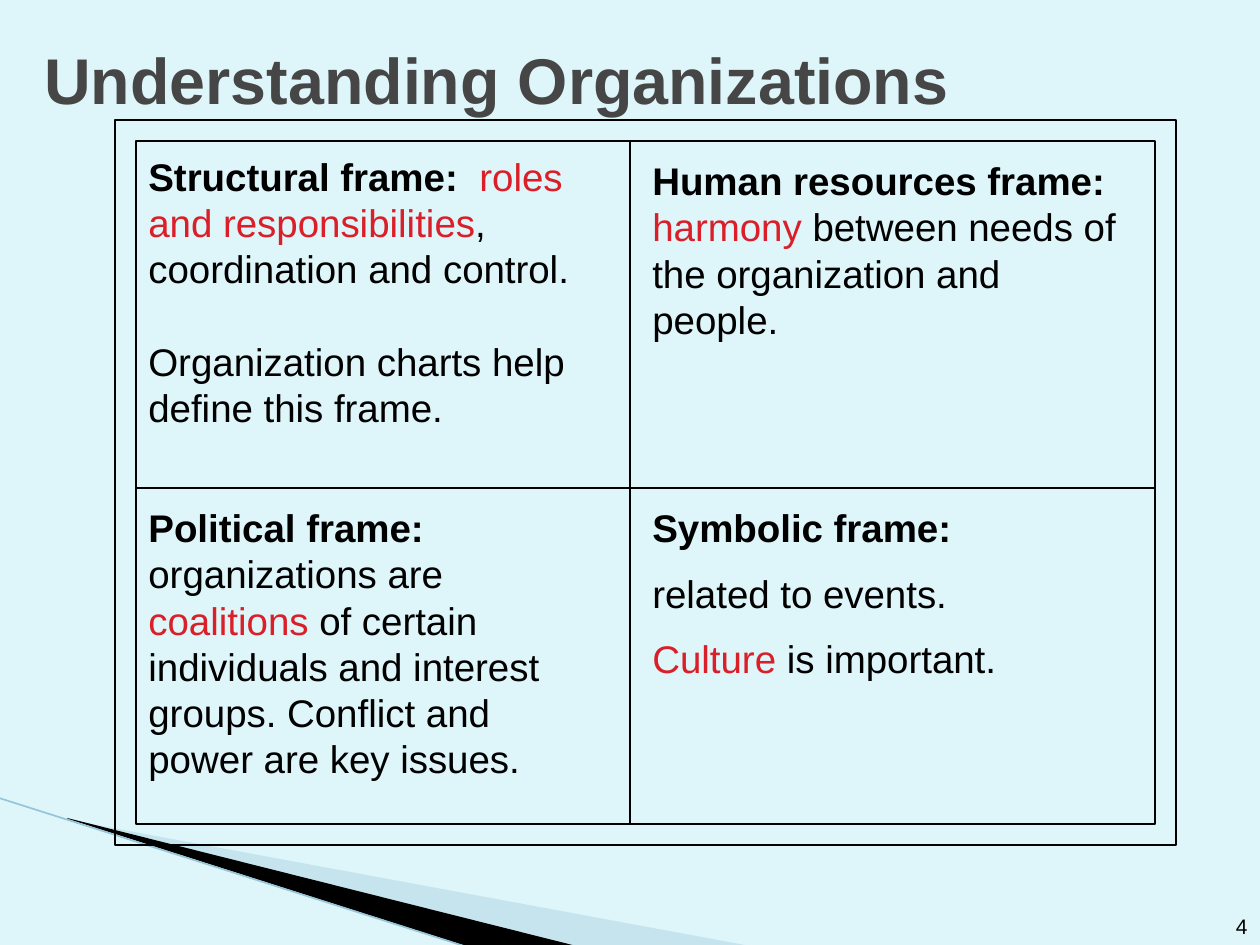
import pptx
import pptx.dml.color
import pptx.enum.shapes
import pptx.enum.text
import pptx.oxml
import pptx.oxml.ns
import pptx.util
from lxml import etree

PX = 914400 // 126
BLACK, RED, GREY = "000000", "DA1F28", "464646"
BODY = {"size": 22, "color": BLACK, "bold": False}
HEAD = {**BODY, "bold": True}
KEY = {**BODY, "color": RED}

# Content: each frame is (box in px, space before later paragraphs in pt, paragraphs of runs)
TITLE = [[("Understanding Organizations", {"size": 36.9, "color": GREY, "bold": True})]]
PAGE = [[("4", {"size": 12, "color": BLACK, "bold": False})]]
FRAMES = [
    ((136, 147, 483, 292), 26.4, [
        [("Structural frame:  ", HEAD), ("roles and responsibilities", KEY),
         (", coordination and control.", BODY)],
        [("Organization charts help define this frame.", BODY)]]),
    ((640, 151, 494, 199), 11, [
        [("Human resources frame: ", HEAD), ("harmony ", KEY),
         ("between needs of the organization and people.", BODY)]]),
    ((136, 498, 473, 292), 11, [
        [("Political frame: ", HEAD), ("organizations are ", BODY), ("coalitions ", KEY),
         ("of certain individuals and interest groups. Conflict and power are key issues.", BODY)]]),
    ((640, 498, 494, 199), 11, [
        [("Symbolic frame:", HEAD)],
        [("related to events.", BODY)],
        [("Culture ", KEY), ("is important.", BODY)]]),
]

# Geometry in px
GRID = (136, 141, 1019, 683)
BORDER = (115, 120, 1061, 725)
SPLIT_X, SPLIT_Y = 630, 488
WEDGES = [
    ("A0CBDC", 40, [(69, 820), (750, 946), (575, 946), (69, 819)]),
    (BLACK, 100, [(67, 818), (576, 946), (469, 947), (68, 819)]),
]
EDGE = (-1, 798, 467, 947)


def rgb(value):
    return pptx.dml.color.RGBColor.from_string(value)


def emu(values):
    return [value * PX for value in values]


def add_line(ends, color=BLACK, width=0.75):
    line = slide.shapes.add_connector(pptx.enum.shapes.MSO_CONNECTOR.STRAIGHT, *emu(ends))
    line.line.color.rgb = rgb(color)
    line.line.width = pptx.util.Pt(width)
    etree.SubElement(line._element.spPr, pptx.oxml.ns.qn("a:effectLst"))


def add_outline(box):
    outline = slide.shapes.add_shape(pptx.enum.shapes.MSO_SHAPE.RECTANGLE, *emu(box))
    outline.shadow.inherit = False
    outline.fill.background()
    outline.line.color.rgb = rgb(BLACK)
    outline.line.width = pptx.util.Pt(0.75)


def add_wedge(color, opacity, points):
    builder = slide.shapes.build_freeform(*points[0], scale=PX)
    builder.add_line_segments(points[1:], close=True)
    wedge = builder.convert_to_shape()
    wedge.shadow.inherit = False
    wedge.line.fill.background()
    wedge.fill.solid()
    wedge.fill.fore_color.rgb = rgb(color)
    if opacity < 100:
        tint = wedge._element.spPr.find(".//" + pptx.oxml.ns.qn("a:srgbClr"))
        etree.SubElement(tint, pptx.oxml.ns.qn("a:alpha"), val=str(opacity * 1000))


def add_text(box, paragraphs, frame_format, paragraph_format=None, gap=0):
    frame = slide.shapes.add_textbox(*emu(box)).text_frame
    for name, value in {"word_wrap": True, **frame_format}.items():
        setattr(frame, name, value)
    for index, runs in enumerate(paragraphs):
        paragraph = frame.add_paragraph() if index else frame.paragraphs[0]
        for name, value in (paragraph_format or {}).items():
            setattr(paragraph, name, value)
        if index:
            paragraph.space_before = pptx.util.Pt(gap)
        for text, style in runs:
            run = paragraph.add_run()
            run.text = text
            font = {"name": "Arial", "size": pptx.util.Pt(style["size"]), "bold": style["bold"]}
            for name, value in font.items():
                setattr(run.font, name, value)
            run.font.color.rgb = rgb(style["color"])


deck = pptx.Presentation()
deck.slide_width, deck.slide_height = pptx.util.Inches(10), pptx.util.Inches(7.5)
slide = deck.slides.add_slide(deck.slide_layouts[6])
slide.background.fill.solid()
slide.background.fill.fore_color.rgb = rgb("DEF5FA")

# Corner decoration
for wedge_parts in WEDGES:
    add_wedge(*wedge_parts)
add_line(EDGE, "97C5D8", 0.95)

# Title and page number
ANCHOR = pptx.enum.text.MSO_ANCHOR
add_text((32, 32, 1228, 94), TITLE, {"vertical_anchor": ANCHOR.MIDDLE})
add_text((1183, 895, 77, 50), PAGE, {"vertical_anchor": ANCHOR.BOTTOM},
         {"alignment": pptx.enum.text.PP_ALIGN.RIGHT})

# Two-by-two grid
left, top, width, height = GRID
add_outline(GRID)
add_line((SPLIT_X, top, SPLIT_X, top + height))
add_line((left, SPLIT_Y, left + width, SPLIT_Y))

# The four frames
for frame_box, frame_gap, frame_paragraphs in FRAMES:
    add_text(frame_box, frame_paragraphs,
             {"auto_size": pptx.enum.text.MSO_AUTO_SIZE.SHAPE_TO_FIT_TEXT},
             {"line_spacing": pptx.util.Pt(26.4)}, frame_gap)

# Outer border
add_outline(BORDER)

deck.save("out.pptx")
